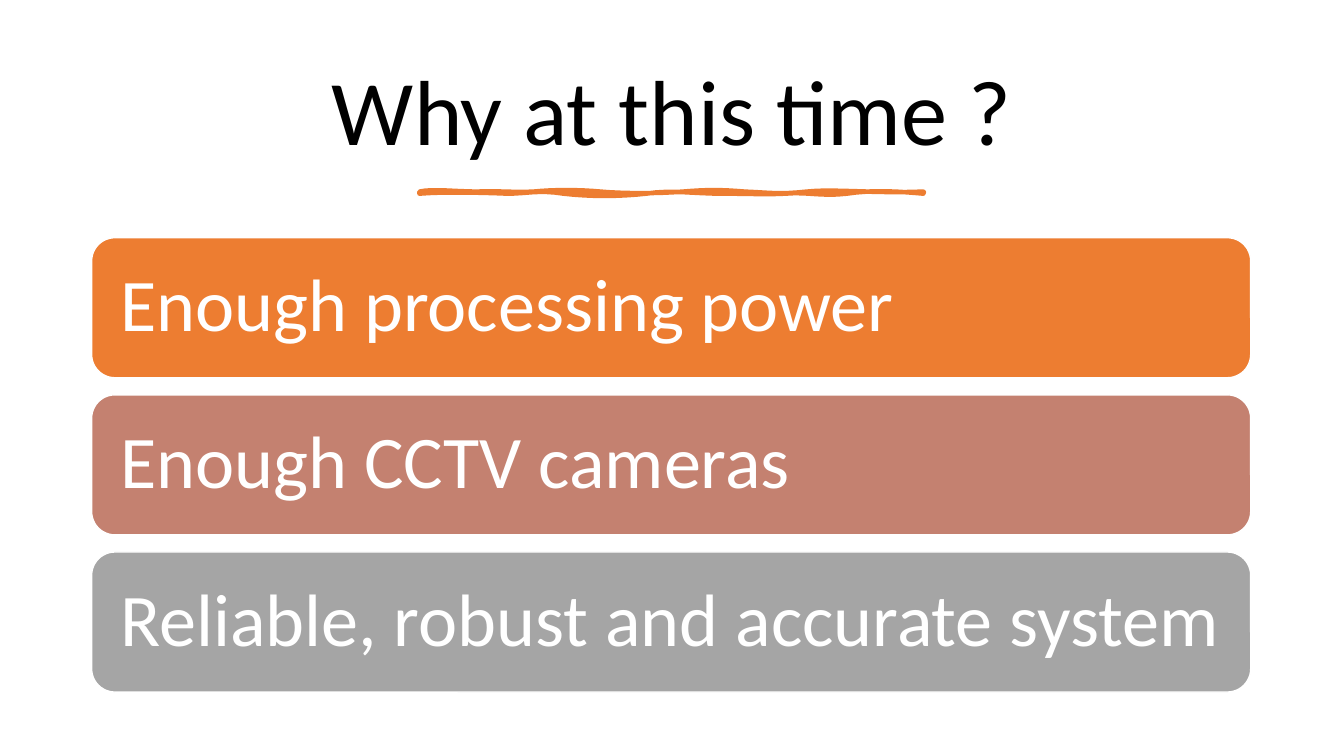
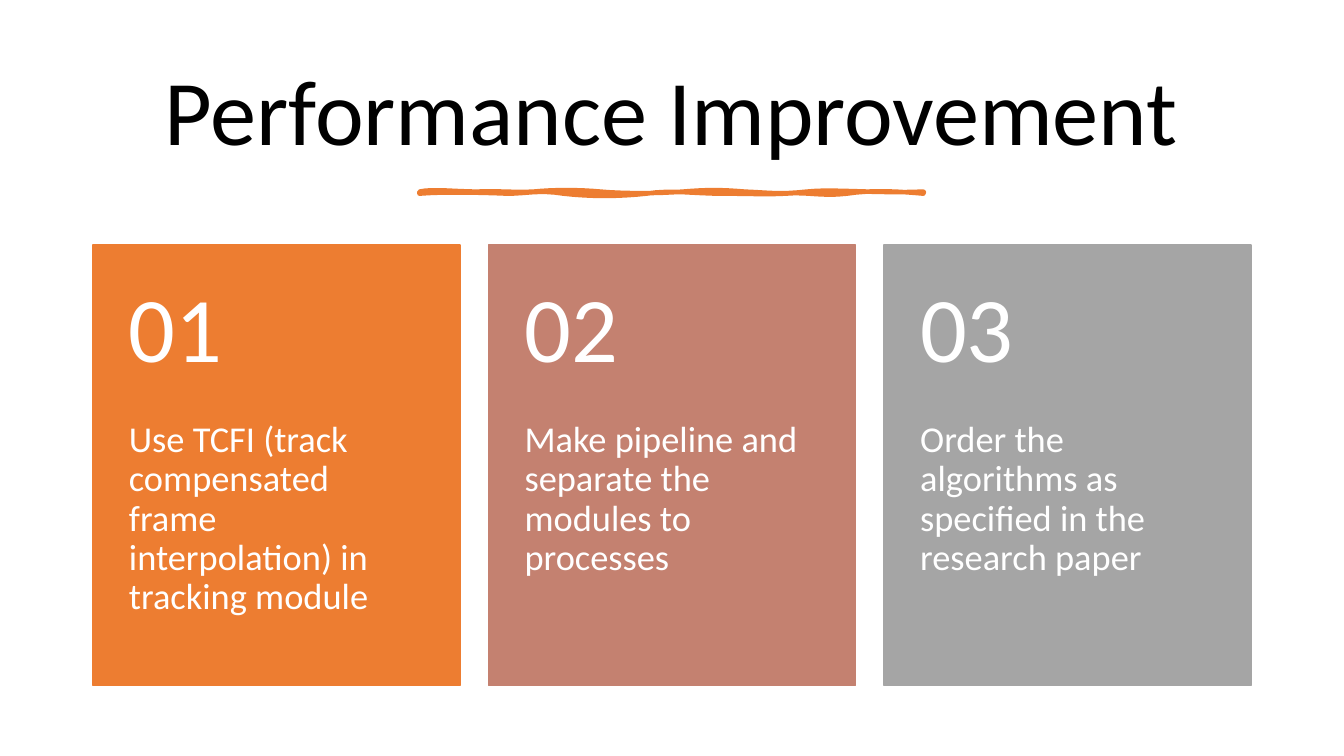
from dataclasses import dataclass

from pptx import Presentation
from pptx.dml.color import RGBColor
from pptx.enum.shapes import MSO_SHAPE
from pptx.enum.text import MSO_ANCHOR, PP_ALIGN
from pptx.util import Cm, Pt

RECT, ROUND = MSO_SHAPE.RECTANGLE, MSO_SHAPE.ROUNDED_RECTANGLE
TOP, MIDDLE = MSO_ANCHOR.TOP, MSO_ANCHOR.MIDDLE
LEFT, CENTER = PP_ALIGN.LEFT, PP_ALIGN.CENTER


@dataclass(frozen=True)
class Theme:
    font: str = "Calibri"
    ink: str = "000000"
    paper: str = "FFFFFF"
    rule: str = "ED7D31"
    fills: tuple = ("ED7D31", "C48170", "A5A5A5")
    title: int = 66
    bar: int = 53
    body: int = 26


# Brush stroke: start point, then two controls and an end per curve.
# Units are 1/500 of the stroke's width.
START = (0, 0)
CURVES = [
    ((12, -3), (38, 0), (57, 0)),
    ((76, -1), (93, 1), (113, 0)),
    ((133, -2), (158, -2), (180, 0)),
    ((201, 2), (237, 2), (261, 0)),
    ((286, -2), (298, -2), (323, 0)),
    ((347, 1), (358, 3), (384, 0)),
    ((410, -3), (451, 2), (500, 0)),
    ((501, 1), (500, 1), (500, 2)),
    ((479, 0), (449, -2), (424, 2)),
    ((399, 5), (385, 0), (363, 2)),
    ((340, 3), (331, 2), (301, 2)),
    ((271, 2), (251, -2), (225, 2)),
    ((198, 5), (169, 5), (143, 2)),
    ((118, -2), (107, 2), (87, 2)),
    ((67, 1), (22, 0), (0, 2)),
    ((0, 1), (0, 0), (0, 0)),
]
STEPS = 8


def trace():
    """Points along the brush stroke, sampled from its Bezier curves."""
    points, a = [], START
    for b, c, d in CURVES:
        for step in range(1, STEPS + 1):
            t = step / STEPS
            u = 1 - t
            points.append(tuple(
                u**3 * p + 3 * u * u * t * q + 3 * u * t * t * r + t**3 * s
                for p, q, r, s in zip(a, b, c, d)))
        a = d
    return points


class Deck:
    def __init__(self, theme):
        self.theme = theme
        self.file = Presentation()
        self.file.slide_width, self.file.slide_height = Cm(33.87), Cm(19.05)
        self.slide = None

    def start(self, title):
        """Add a slide with its title and brush stroke."""
        self.slide = self.file.slides.add_slide(self.file.slide_layouts[6])
        look = self.theme
        self.label(title, (1.78, 1.17, 30.3, 3.48), look.title, look.ink,
                   (0.25, 0.13, 0.25, 0.13), CENTER)
        self.stroke()

    def paint(self, shape, fill, line, width):
        shape.shadow.inherit = False
        shape.fill.solid()
        shape.fill.fore_color.rgb = RGBColor.from_string(fill)
        shape.line.color.rgb = RGBColor.from_string(line)
        shape.line.width = Pt(width)

    def set_text(self, shape, text, size, color, inset, align=LEFT,
                 anchor=MIDDLE):
        frame = shape.text_frame
        frame.text = text
        frame.word_wrap = True
        frame.vertical_anchor = anchor
        (frame.margin_left, frame.margin_top,
         frame.margin_right, frame.margin_bottom) = map(Cm, inset)
        para = frame.paragraphs[0]
        para.alignment = align
        para.line_spacing = 0.9
        font = para.runs[0].font
        font.name, font.size = self.theme.font, Pt(size)
        font.color.rgb = RGBColor.from_string(color)

    def label(self, text, box, size, color, inset, align=LEFT):
        shape = self.slide.shapes.add_textbox(*map(Cm, box))
        self.set_text(shape, text, size, color, inset, align)

    def stroke(self):
        unit = Cm(12.7) / 500
        pen = self.slide.shapes.build_freeform(*START)
        pen.add_line_segments([(x * unit, y * unit) for x, y in trace()])
        shape = pen.convert_to_shape(Cm(10.57), Cm(4.83))
        self.paint(shape, self.theme.rule, self.theme.rule, 3.25)

    def panel(self, kind, box, fill, line):
        shape = self.slide.shapes.add_shape(kind, *map(Cm, box))
        self.paint(shape, fill, line, 1)
        return shape

    def bars(self, items):
        look = self.theme
        for row, (text, fill) in enumerate(zip(items, look.fills)):
            box = (2.31, 5.99 + row * 3.96, 29.21, 3.53)
            bar = self.panel(ROUND, box, fill, look.paper)
            self.set_text(bar, text, look.bar, look.paper, (0.55,) * 4)

    def cards(self, items):
        look = self.theme
        top, wide, high, head, pad = 6.17, 9.25, 11.1, 4.44, 0.91
        for col, (text, fill) in enumerate(zip(items, look.fills)):
            left = 2.34 + col * 9.97
            card = self.panel(RECT, (left, top, wide, high), fill, fill)
            self.set_text(card, text, look.body, look.paper,
                          (pad, head, pad, pad), anchor=TOP)
            self.label(f"{col + 1:02}", (left, top, wide, head), look.title,
                       look.paper, (pad, 0.46, pad, 0.46))


def main():
    deck = Deck(Theme())
    deck.start("Why at this time ?")
    deck.bars(["Enough processing power", "Enough CCTV cameras",
               "Reliable, robust and accurate system"])
    deck.start("Performance Improvement")
    deck.cards([
        "Use TCFI (track compensated frame interpolation) in tracking module",
        "Make pipeline and separate the modules to processes",
        "Order the algorithms as specified in the research paper",
    ])
    deck.file.save("out.pptx")


if __name__ == "__main__":
    main()
